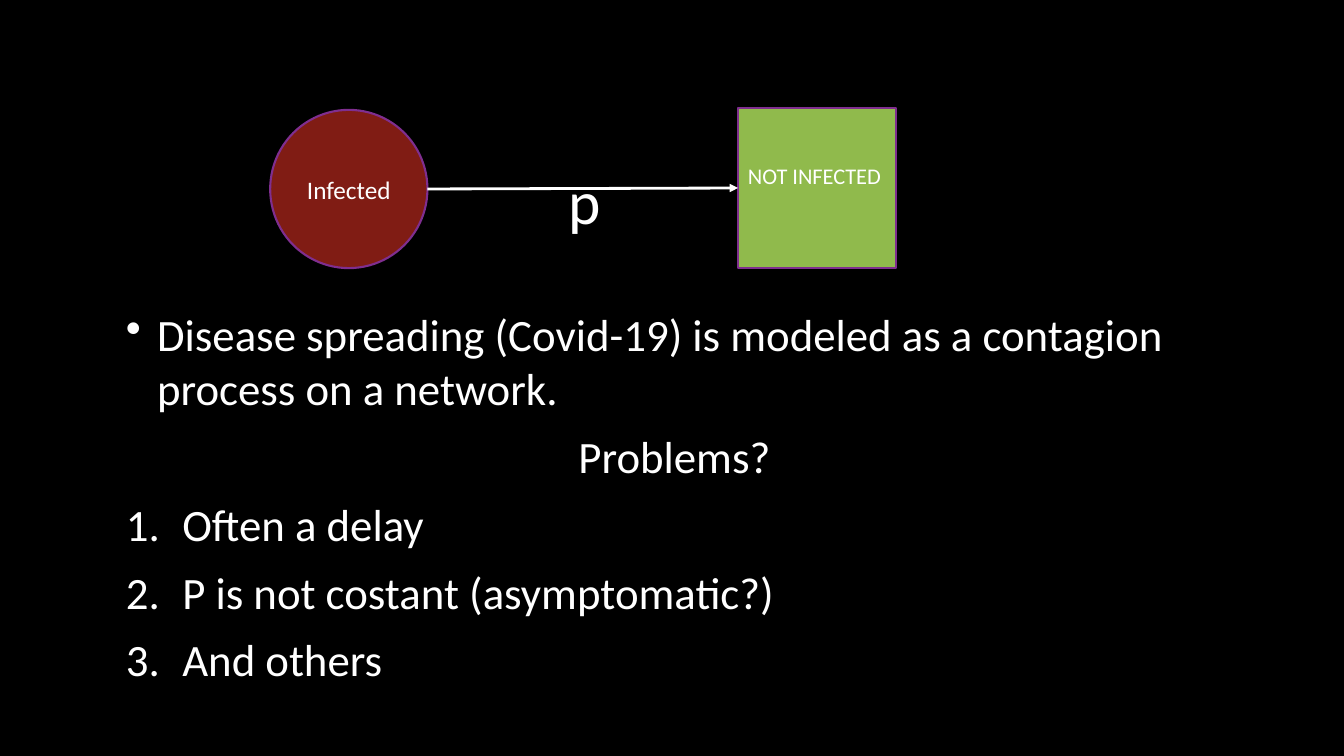
from lxml import etree
from pptx import Presentation
from pptx import util as u
from pptx.dml.color import RGBColor
from pptx.enum import shapes, text
from pptx.oxml.ns import qn

FONT = "Calibri"
COLORS = {"back": "000000", "text": "FFFFFF", "infected": "801C14",
          "healthy": "90BA4C", "outline": "7F2E8F"}
NODES = [
    ("Infected", shapes.MSO_SHAPE.OVAL, (2.68, 1.09, 1.56, 1.57),
     "infected", 18, text.PP_ALIGN.CENTER, 0.05),
    ("NOT INFECTED", shapes.MSO_SHAPE.RECTANGLE, (7.32, 1.07, 1.57, 1.59),
     "healthy", 16, text.PP_ALIGN.LEFT, 0.29),
]
PROBABILITY = ("p", (5.54, 1.57, 0.67, 0.84), 44)
BODY_BOX = (1.15, 2.93, 11.08, 3.99)
BODY = [
    ("Disease spreading (Covid-19) is modeled as a contagion process on a network.", "bullet"),
    ("Problems?", "center"),
    ("Often a delay", "number"),
    ("P is not costant (asymptomatic?)", "number"),
    ("And others", "number"),
]
MARKERS = {
    "bullet": (0.31, "a:buChar", {"char": "•"}),
    "number": (0.56, "a:buAutoNum", {"type": "arabicPeriod"}),
}


def color(name):
    return RGBColor.from_string(COLORS[name])


def inches(box):
    return [u.Inches(v) for v in box]


def write(p, words, size, align=text.PP_ALIGN.LEFT):
    p.text = words
    p.alignment = align
    p.font.name = FONT
    p.font.size = u.Pt(size)
    p.font.color.rgb = color("text")


def mark(p, indent, tag, attrs):
    pPr = p._p.get_or_add_pPr()
    pPr.set("marL", str(u.Inches(indent)))
    pPr.set("indent", str(-u.Inches(indent)))
    marker = etree.Element(qn(tag), attrs)
    pPr.find(qn("a:defRPr")).addprevious(marker)


def add_node(slide, words, kind, box, fill, size, align, bottom):
    sp = slide.shapes.add_shape(kind, *inches(box))
    sp.shadow.inherit = False
    sp.fill.solid()
    sp.fill.fore_color.rgb = color(fill)
    sp.line.color.rgb = color("outline")
    sp.line.width = u.Pt(1.5)
    tf = sp.text_frame
    tf.vertical_anchor = text.MSO_ANCHOR.MIDDLE
    tf.margin_bottom = u.Inches(bottom)
    write(tf.paragraphs[0], words, size, align)
    return sp


def add_arrow(slide, start, end):
    line = slide.shapes.add_connector(
        shapes.MSO_CONNECTOR.STRAIGHT,
        start.left + start.width, start.top + start.height // 2,
        end.left, end.top + end.height // 2)
    line.end_connect(end, 1)
    line.line.color.rgb = color("text")
    line.line.width = u.Pt(2)
    etree.SubElement(line.line._get_or_add_ln(), qn("a:tailEnd"), type="triangle")
    etree.SubElement(line._element.spPr, qn("a:effectLst"))


def add_body(slide):
    tf = slide.shapes.add_textbox(*inches(BODY_BOX)).text_frame
    tf.word_wrap = True
    tf.vertical_anchor = text.MSO_ANCHOR.MIDDLE
    for i, (words, style) in enumerate(BODY):
        p = tf.add_paragraph() if i else tf.paragraphs[0]
        align = text.PP_ALIGN.CENTER if style == "center" else text.PP_ALIGN.LEFT
        write(p, words, 32, align)
        p.space_after = u.Pt(10)
        if style in MARKERS:
            mark(p, *MARKERS[style])


def main():
    prs = Presentation()
    prs.slide_width, prs.slide_height = u.Inches(13.33), u.Inches(7.5)
    slide = prs.slides.add_slide(prs.slide_layouts[6])
    slide.background.fill.solid()
    slide.background.fill.fore_color.rgb = color("back")
    add_body(slide)
    infected, healthy = [add_node(slide, *node) for node in NODES]
    add_arrow(slide, infected, healthy)
    words, box, size = PROBABILITY
    tf = slide.shapes.add_textbox(*inches(box)).text_frame
    tf.word_wrap = True
    write(tf.paragraphs[0], words, size)
    prs.save("out.pptx")


if __name__ == "__main__":
    main()
